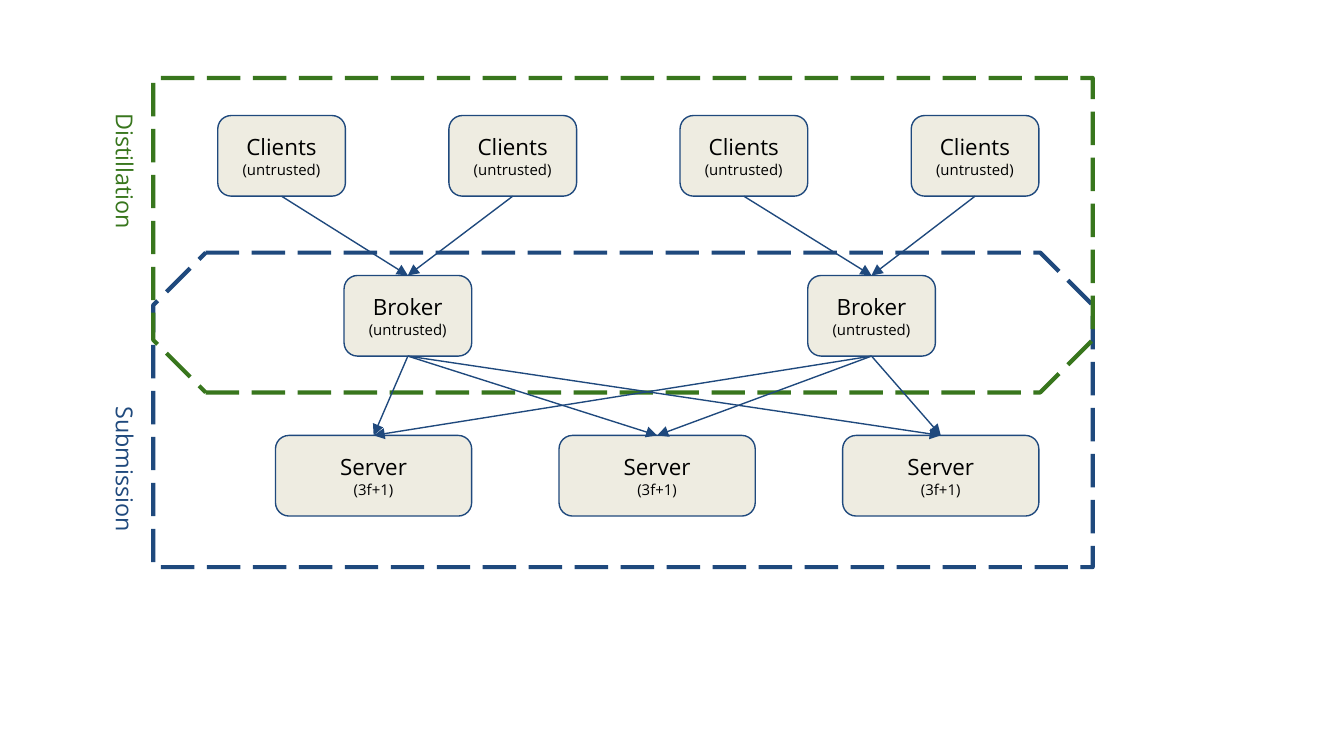
from pptx import Presentation
from pptx.util import Inches, Pt
from pptx.dml.color import RGBColor
from pptx.enum.dml import MSO_LINE
from pptx.enum.shapes import MSO_SHAPE as Shape, MSO_CONNECTOR as Link
from pptx.enum.text import PP_ALIGN as Align, MSO_ANCHOR as Anchor
from pptx.oxml.ns import qn
from lxml.etree import SubElement

COL = {k: RGBColor.from_string(v) for k, v in {
    "blue": "1F497D", "green": "38761D", "sand": "EEECE1", "black": "000000"}.items()}
FONT = "Open Sans"

# Widescreen slide, 16 to 9
deck = Presentation()
deck.slide_width = Inches(10)
deck.slide_height = deck.slide_width * 9 // 16
slide = deck.slides.add_slide(deck.slide_layouts[6])
items = slide.shapes


def add_run(para, text, size, color):
    run = para.add_run()
    run.text = text
    run.font.name, run.font.size = FONT, Pt(size)
    run.font.color.rgb = COL[color]


def set_frame(frame):
    frame.word_wrap = True
    frame.margin_left = frame.margin_right = Inches(0.1)
    frame.margin_top = frame.margin_bottom = Inches(0.1)


# Dashed phase zones, overlapping at the brokers
for top, turn, color in [(1.88, 0, "blue"), (0.58, 180, "green")]:
    zone = items.add_shape(Shape.SNIP_2_SAME_RECTANGLE, Inches(1.14), Inches(top),
                           Inches(6.99), Inches(2.34))
    zone.adjustments[0], zone.adjustments[1] = 0.167, 0
    zone.rotation = turn
    if turn:
        zone._element.spPr.find(qn("a:xfrm")).set("flipH", "1")
    zone.shadow.inherit = False
    zone.fill.background()
    zone.line.color.rgb = COL[color]
    zone.line.width = Pt(2.25)
    zone.line.dash_style = MSO_LINE.LONG_DASH

# Three rows of boxes: name, note, count, left, step, width
rows = [("Clients", "(untrusted)", 4, 1.62, 1.72, 0.95),
        ("Broker", "(untrusted)", 2, 2.56, 3.45, 0.95),
        ("Server", "(3f+1)", 3, 2.05, 2.11, 1.46)]
grid = []
for i, (name, note, count, left, step, width) in enumerate(rows):
    grid.append([])
    for j in range(count):
        box = items.add_shape(Shape.FLOWCHART_ALTERNATE_PROCESS, Inches(left + j * step),
                              Inches(0.86 + i * 1.19), Inches(width), Inches(0.6))
        box.shadow.inherit = False
        box.fill.solid()
        box.fill.fore_color.rgb = COL["sand"]
        box.line.color.rgb = COL["blue"]
        box.line.width = Pt(0.75)
        frame = box.text_frame
        set_frame(frame)
        frame.vertical_anchor = Anchor.MIDDLE
        for para, text, size in [(frame.paragraphs[0], name, 12),
                                 (frame.add_paragraph(), note, 8)]:
            para.alignment = Align.CENTER
            add_run(para, text, size, "black")
        grid[i].append(box)

# Arrows: two clients to each broker, each broker to all servers
clients, brokers, servers = grid
pairs = [(box, brokers[j // 2]) for j, box in enumerate(clients)]
pairs += [(b, s) for b in brokers for s in servers]
for start, end in pairs:
    arrow = items.add_connector(Link.STRAIGHT, 0, 0, 0, 0)
    arrow.begin_connect(start, 2)
    arrow.end_connect(end, 0)
    arrow.line.color.rgb = COL["blue"]
    arrow.line.width = Pt(0.75)
    SubElement(arrow.line._get_or_add_ln(), qn("a:tailEnd"), type="triangle")
    SubElement(arrow._element.spPr, qn("a:effectLst"))

# Phase labels, turned to read downwards
for text, top, color in [("Distillation", 1.88, "green"), ("Submission", 4.06, "blue")]:
    label = items.add_textbox(Inches(-0.52), Inches(top), Inches(2.79), Inches(0.52))
    label.rotation = 90
    set_frame(label.text_frame)
    add_run(label.text_frame.paragraphs[0], text, 12.5, color)

deck.save("out.pptx")
